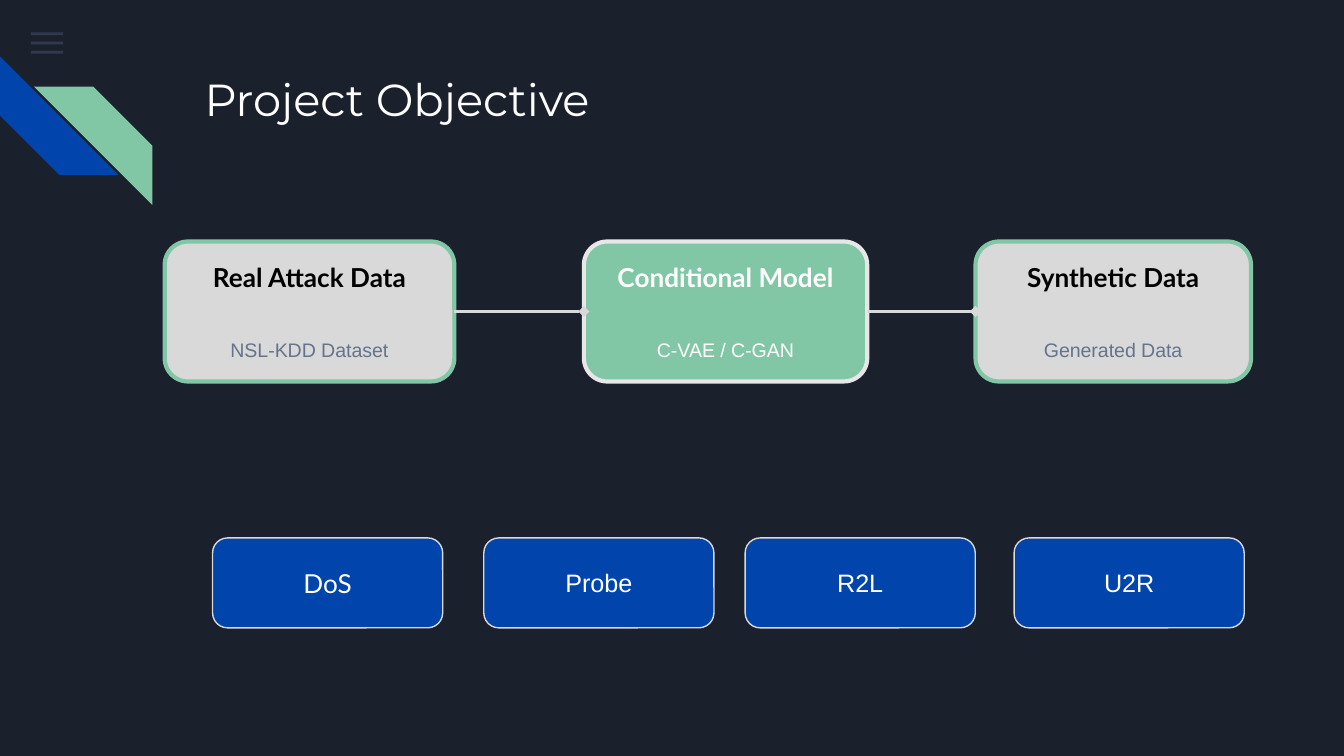
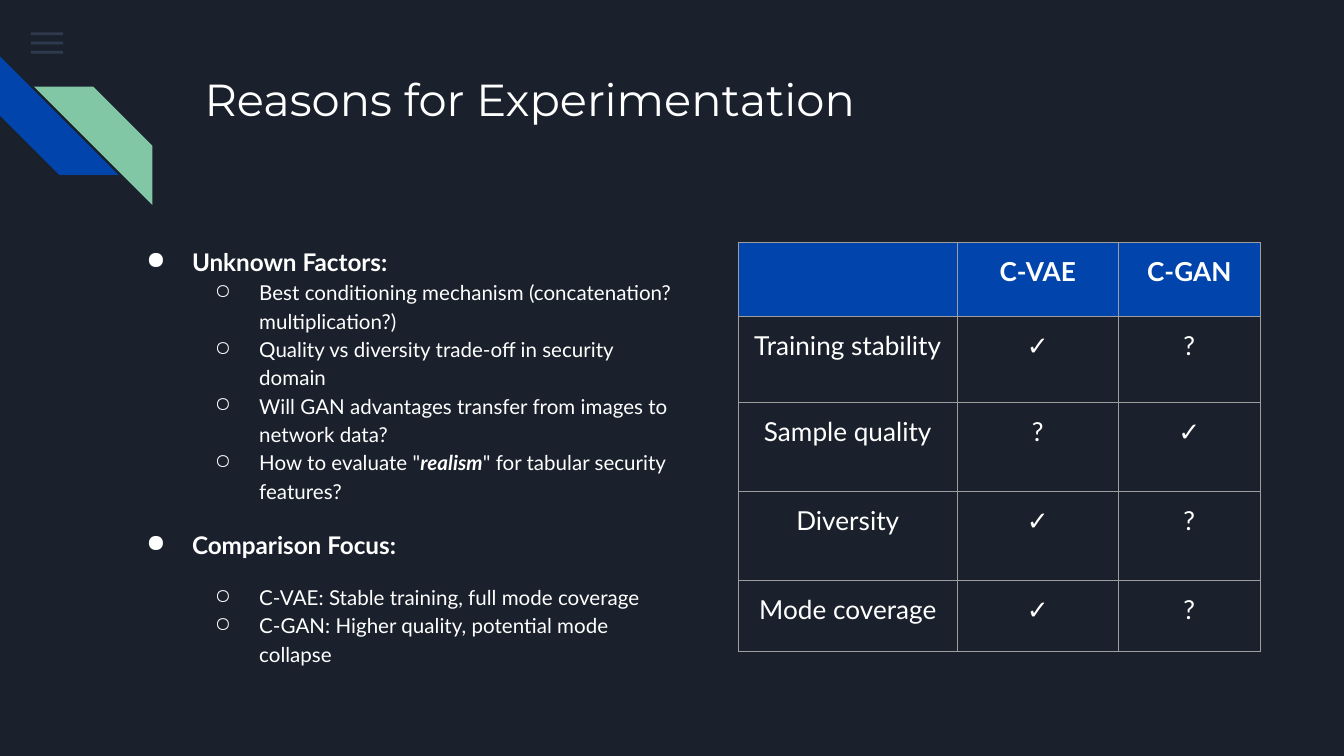
from itertools import pairwise

from lxml.etree import SubElement
from pptx import Presentation
from pptx.dml.color import RGBColor
from pptx.enum.shapes import MSO_CONNECTOR, MSO_SHAPE
from pptx.enum.text import MSO_ANCHOR, PP_ALIGN
from pptx.oxml.ns import qn
from pptx.util import Pt

# Palette and fonts
NIGHT, BLUE, GREEN, WHITE = "1B212C", "0145AC", "82C7A5", "FFFFFF"
GREY, PALE, SLATE, STEEL = "D9D9D9", "E7E7E7", "64748B", "55688B"
RULE, BLACK = "9E9E9E", "000000"
HEAD, BODY, PLAIN = "Montserrat", "Lato", "Arial"
INSET = 7.2


def rgb(code):
    return RGBColor.from_string(code)


def write(par, text, size=14, font=BODY, color=WHITE, bold=False, italic=False,
          align=None, lines=None, before=None, after=None):
    """Add a run to a paragraph, with the paragraph's own format if given."""
    run = par.add_run()
    run.text = text
    run.font.size, run.font.name = Pt(size), font
    run.font.bold, run.font.italic = bold, italic
    run.font.color.rgb = rgb(color)
    if align is not None:
        par.alignment = align
    if lines:
        par.line_spacing = lines
    if before is not None:
        par.space_before = Pt(before)
    if after is not None:
        par.space_after = Pt(after)


def inset(box):
    box.margin_left = box.margin_right = Pt(INSET)
    box.margin_top = box.margin_bottom = Pt(INSET)


def bullet(par, level):
    """Give a paragraph its indent and bullet sign."""
    par.level = level
    props = par._p.get_or_add_pPr()
    props.set("marL", str(Pt(36 * (level + 1))))
    props.set("indent", str(-Pt((24.5, 23.75)[level])))
    tint = SubElement(props, qn("a:buClr"))
    SubElement(tint, qn("a:srgbClr"), val=WHITE)
    SubElement(props, qn("a:buChar"), char="●○"[level])


class Deck:
    def __init__(self):
        self.file = Presentation()
        self.file.slide_width, self.file.slide_height = Pt(720), Pt(405)
        back = self.file.slide_master.background.fill
        back.solid()
        back.fore_color.rgb = rgb(NIGHT)
        self.slide = None

    def start(self, title):
        """Open a slide with the shared corner art and title."""
        self.slide = self.file.slides.add_slide(self.file.slide_layouts[5])
        # Menu mark
        for row in range(3):
            bar = self.shape(MSO_SHAPE.RECTANGLE, 16.6, 17.4 + 4.9 * row, 17.3, 1.5, STEEL)
            tint = bar.element.spPr.find(".//" + qn("a:srgbClr"))
            SubElement(tint, qn("a:alpha"), val="36000")
        # Stripes
        for x, y, turn, color in ((0, 30.25, 270, BLUE), (18.2, 46.4, 90, GREEN)):
            stripe = self.shape(MSO_SHAPE.DIAGONAL_STRIPE, x, y, 63.4, 63.4, color)
            stripe.rotation = turn
        # Title
        head = self.slide.shapes.title
        head.left, head.top, head.width, head.height = Pt(102.4), Pt(31), Pt(554.4), Pt(72)
        frame = head.text_frame
        inset(frame)
        frame.word_wrap, frame.vertical_anchor = True, MSO_ANCHOR.TOP
        write(frame.paragraphs[0], title, size=24, font=HEAD, align=PP_ALIGN.LEFT)

    def shape(self, kind, x, y, wide, high, fill, line=None, weight=1):
        item = self.slide.shapes.add_shape(kind, Pt(x), Pt(y), Pt(wide), Pt(high))
        item.shadow.inherit = False
        item.fill.solid()
        item.fill.fore_color.rgb = rgb(fill)
        if line:
            item.line.color.rgb = rgb(line)
            item.line.width = Pt(weight)
        else:
            item.line.fill.background()
        return item

    def box(self, x, y, wide, high, fill, line, weight, text, **style):
        """Rounded box with one centred line of text."""
        item = self.shape(MSO_SHAPE.ROUNDED_RECTANGLE, x, y, wide, high, fill, line, weight)
        frame = item.text_frame
        inset(frame)
        frame.word_wrap, frame.vertical_anchor = True, MSO_ANCHOR.MIDDLE
        write(frame.paragraphs[0], text, align=PP_ALIGN.CENTER, **style)
        return item

    def card(self, x, wide, fill, line, name, note, ink, tone):
        item = self.box(x, 129.4, wide, 75, fill, line, 2.25, name, color=ink, bold=True)
        write(item.text_frame.add_paragraph(), note, size=10.5, font=PLAIN, color=tone,
              align=PP_ALIGN.CENTER, lines=1.36, before=20, after=3)
        return item

    def link(self, start, end):
        """Line from the right side of one box to the left side of the next."""
        line = self.slide.shapes.add_connector(MSO_CONNECTOR.STRAIGHT, 0, 0, 0, 0)
        line.begin_connect(start, 3)
        line.end_connect(end, 1)
        line.line.color.rgb = rgb(GREY)
        line.line.width = Pt(1.5)
        props = line.element.spPr
        SubElement(props.find(qn("a:ln")), qn("a:tailEnd"), type="diamond")
        SubElement(props, qn("a:effectLst"))

    def list(self, x, y, wide, high, items):
        """Bullets as (level, space before, text parts); odd parts stand out."""
        frame = self.slide.shapes.add_textbox(Pt(x), Pt(y), Pt(wide), Pt(high)).text_frame
        frame.word_wrap = True
        inset(frame)
        for spot, (level, before, *parts) in enumerate(items):
            par = frame.add_paragraph() if spot else frame.paragraphs[0]
            bullet(par, level)
            for turn, text in enumerate(parts):
                strong = turn % 2 == 1
                write(par, text, size=(13, 11)[level], bold=level == 0 or strong,
                      italic=strong, lines=1.15, before=before)

    def table(self, x, y, cols, rows, data):
        grid = self.slide.shapes.add_table(len(rows), len(cols), Pt(x), Pt(y),
                                           Pt(sum(cols)), Pt(sum(rows))).table
        grid.first_row = grid.horz_banding = False
        for col, wide in zip(grid.columns, cols):
            col.width = Pt(wide)
        for r, (high, texts) in enumerate(zip(rows, data)):
            grid.rows[r].height = Pt(high)
            for c, text in enumerate(texts):
                self.cell(grid.cell(r, c), text, r == 0)

    def cell(self, cell, text, top):
        inset(cell)
        props = cell._tc.get_or_add_tcPr()
        for side in ("lnL", "lnR", "lnT", "lnB"):
            edge = SubElement(props, qn("a:" + side), w=str(Pt(0.75)))
            paint = SubElement(edge, qn("a:solidFill"))
            SubElement(paint, qn("a:srgbClr"), val=RULE)
        if top:
            cell.fill.solid()
            cell.fill.fore_color.rgb = rgb(BLUE)
        else:
            cell.fill.background()
        if text:
            write(cell.text_frame.paragraphs[0], text, bold=top, align=PP_ALIGN.CENTER)


def main():
    deck = Deck()

    # Slide 1: data flow and attack types
    deck.start("Project Objective")
    cards = [deck.card(*card) for card in (
        (88.2, 155.2, GREY, GREEN, "Real Attack Data", "NSL-KDD Dataset", BLACK, SLATE),
        (312.8, 151.8, GREEN, PALE, "Conditional Model", "C-VAE / C-GAN", WHITE, WHITE),
        (522.6, 147.6, GREY, GREEN, "Synthetic Data", "Generated Data", BLACK, SLATE))]
    for start, end in pairwise(cards):
        deck.link(start, end)
    for x, text, size, font in ((113.9, "DoS", 14, BODY), (259.2, "Probe", 13.5, PLAIN),
                                (399.2, "R2L", 13.5, PLAIN), (543.3, "U2R", 13.5, PLAIN)):
        deck.box(x, 288.2, 123.3, 48.2, BLUE, GREY, 0.75, text, size=size, font=font)

    # Slide 2: open questions and model table
    deck.start("Reasons for Experimentation")
    deck.list(59.8, 123.1, 311.8, 229, (
        (0, 0, "Unknown Factors:"),
        (1, 0, "Best conditioning mechanism (concatenation? multiplication?)"),
        (1, 0, "Quality vs diversity trade-off in security domain"),
        (1, 0, "Will GAN advantages transfer from images to network data?"),
        (1, 0, 'How to evaluate "', "realism", '" for tabular security features?'),
        (0, 12, "Comparison Focus:"),
        (1, 12, "C-VAE: Stable training, full mode coverage"),
        (1, 0, "C-GAN: Higher quality, potential mode collapse")))
    deck.table(395.5, 130, (117.4, 86.2, 76.2), (39.6, 46.1, 47.6, 47.6, 38.2), (
        ("", "C-VAE", "C-GAN"),
        ("Training stability", "✓", "?"),
        ("Sample quality", "?", "✓"),
        ("Diversity", "✓", "?"),
        ("Mode coverage", "✓", "?")))

    deck.file.save("out.pptx")


if __name__ == "__main__":
    main()
